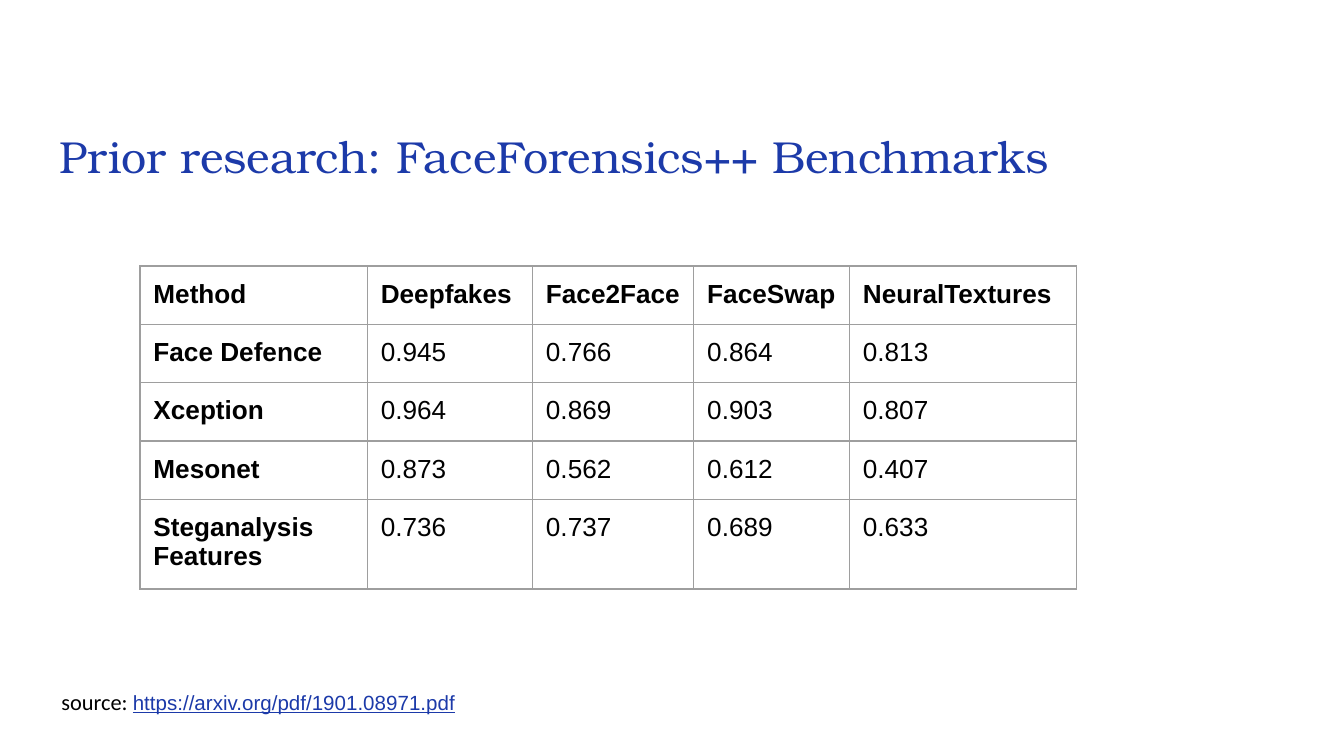
from dataclasses import dataclass

from lxml.etree import SubElement
from pptx import Presentation
from pptx.dml.color import RGBColor
from pptx.enum.text import MSO_ANCHOR as Anchor, PP_ALIGN as Align
from pptx.oxml.ns import qn

PX = 3810  # EMU per px, 240 px to the inch
INSET = 24


@dataclass(frozen=True)
class Theme:
    ink: str = "000000"
    accent: str = "1C3AA9"
    grid: str = "9E9E9E"
    grid_width: int = 9525
    heading_font: str = "TeX Gyre Bonum"
    body_font: str = "Arial"
    label_font: str = "Calibri"
    title_size: int = 24
    table_size: int = 14
    label_size: int = 12
    link_size: int = 11


THEME = Theme()

TITLE = "Prior research: FaceForensics++ Benchmarks"
SOURCE_LABEL = "source: "
SOURCE_URL = "https://arxiv.org/pdf/1901.08971.pdf"
COLUMN_WIDTHS = (406, 295, 288, 278, 406)
ROW_HEIGHT = 100
BENCHMARKS = (
    ("Method", "Deepfakes", "Face2Face", "FaceSwap", "NeuralTextures"),
    ("Face Defence", "0.945", "0.766", "0.864", "0.813"),
    ("Xception", "0.964", "0.869", "0.903", "0.807"),
    ("Mesonet", "0.873", "0.562", "0.612", "0.407"),
    ("Steganalysis Features", "0.736", "0.737", "0.689", "0.633"),
)


def emu(*lengths):
    return [length * PX for length in lengths]


def set_all(target, values):
    for name, value in values.items():
        setattr(target, name, value)


def add_run(paragraph, text, name, size, color, **extra):
    run = paragraph.add_run()
    run.text = text
    set_all(run.font, {"name": name, "size": size * 12700, **extra})
    run.font.color.rgb = RGBColor.from_string(color)


def set_margins(target):
    sides = ("left", "top", "right", "bottom")
    set_all(target, {f"margin_{side}": INSET * PX for side in sides})


def set_borders(cell):
    properties = cell._tc.get_or_add_tcPr()
    for index, side in enumerate(("lnL", "lnR", "lnT", "lnB")):
        line = properties.makeelement(qn(f"a:{side}"), {"w": str(THEME.grid_width)})
        fill = SubElement(line, qn("a:solidFill"))
        SubElement(fill, qn("a:srgbClr"), val=THEME.grid)
        properties.insert(index, line)  # borders come before the cell fill


def place_title(slide, box):
    title = slide.shapes.title
    set_all(title, dict(zip(("left", "top", "width", "height"), emu(*box))))
    frame = title.text_frame
    set_margins(frame)
    set_all(frame, {"word_wrap": True, "vertical_anchor": Anchor.BOTTOM})
    paragraph = frame.paragraphs[0]
    paragraph.alignment = Align.LEFT
    add_run(paragraph, TITLE, THEME.heading_font, THEME.title_size, THEME.accent)


def place_benchmarks(slide, box):
    left, top, width, height = emu(*box)
    graphic = slide.shapes.add_table(
        len(BENCHMARKS), len(COLUMN_WIDTHS), left, top, width, height)
    table = graphic.table
    set_all(table, {"first_row": False, "horz_banding": False})
    for column, column_width in zip(table.columns, COLUMN_WIDTHS):
        column.width = column_width * PX
    for row_index, values in enumerate(BENCHMARKS):
        table.rows[row_index].height = ROW_HEIGHT * PX
        for column_index, value in enumerate(values):
            cell = table.cell(row_index, column_index)
            set_margins(cell)
            cell.fill.background()
            set_borders(cell)
            # The header row and the method names are bold
            is_header = row_index == 0 or column_index == 0
            add_run(cell.text_frame.paragraphs[0], value, THEME.body_font,
                    THEME.table_size, THEME.ink, bold=is_header)
    # Row and column changes resize the frame, so set its box last
    set_all(graphic, {"width": width, "height": height})


def place_source(slide, box):
    frame = slide.shapes.add_textbox(*emu(*box)).text_frame
    set_margins(frame)
    frame.word_wrap = True
    paragraph = frame.paragraphs[0]
    add_run(paragraph, SOURCE_LABEL, THEME.label_font, THEME.label_size, THEME.ink)
    add_run(paragraph, SOURCE_URL, THEME.body_font, THEME.link_size, THEME.accent,
            underline=True)


def main():
    presentation = Presentation()
    set_all(presentation, dict(zip(("slide_width", "slide_height"), emu(2400, 1350))))
    title_only = presentation.slide_layouts[5]
    slide = presentation.slides.add_slide(title_only)
    place_title(slide, (82, 151, 2081, 199))
    place_source(slide, (86, 1205, 2232, 118))
    place_benchmarks(slide, (250, 475, 787, 787))
    presentation.save("out.pptx")


if __name__ == "__main__":
    main()
